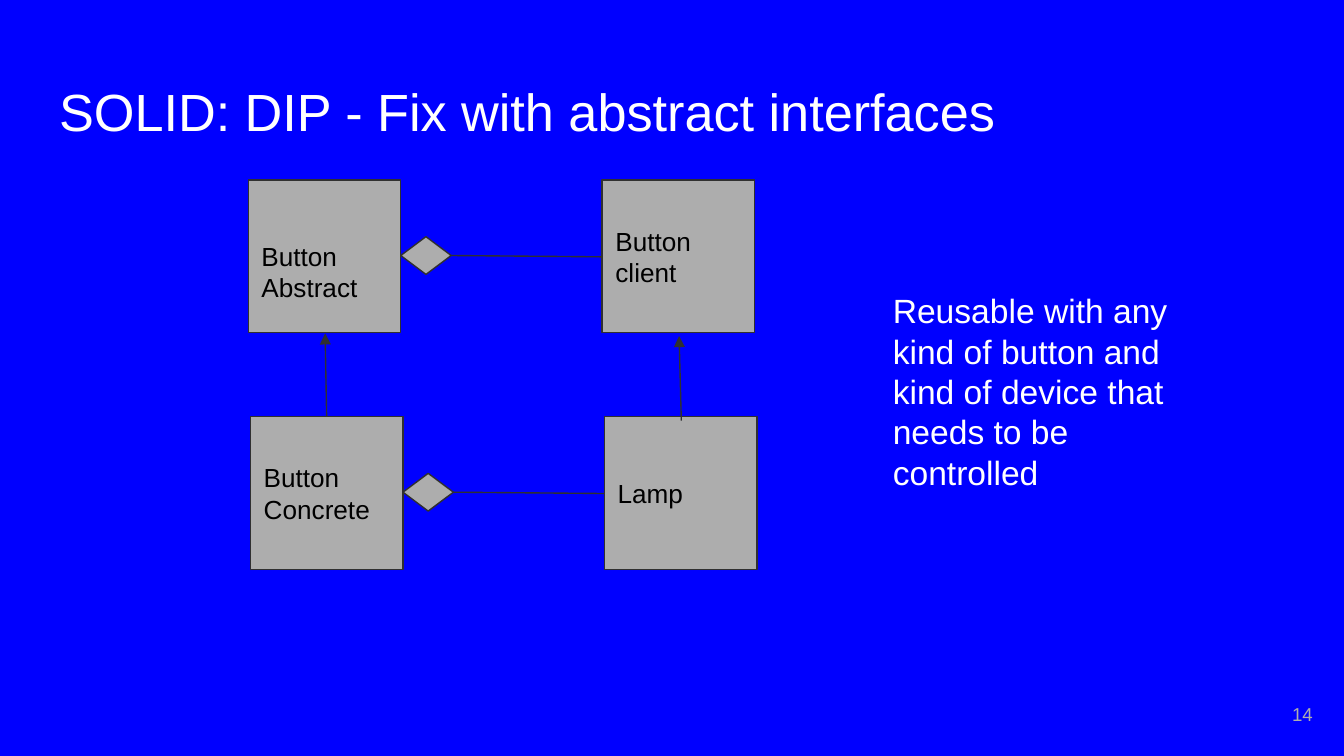
from lxml.etree import SubElement
from pptx import Presentation
from pptx.dml.color import RGBColor
from pptx.enum.shapes import MSO_CONNECTOR as Connector, MSO_SHAPE as Shape
from pptx.enum.text import MSO_ANCHOR as Anchor, MSO_AUTO_SIZE as AutoSize, PP_ALIGN as Align
from pptx.oxml.ns import qn
from pptx.util import Pt


def color(value):
    return RGBColor.from_string(value)


def write(shape, text, size, font_color, anchor=Anchor.MIDDLE, align=Align.LEFT, top_inset=7.2):
    frame = shape.text_frame
    frame_format = {
        "word_wrap": True, "auto_size": AutoSize.NONE, "vertical_anchor": anchor,
        "margin_left": Pt(7.2), "margin_right": Pt(7.2),
        "margin_top": Pt(top_inset), "margin_bottom": Pt(7.2),
    }
    for name, value in frame_format.items():
        setattr(frame, name, value)
    frame.text = text
    for paragraph in frame.paragraphs:
        paragraph.alignment = align
        for name, value in {"name": "Arial", "size": Pt(size), "bold": False}.items():
            setattr(paragraph.font, name, value)
        paragraph.font.color.rgb = color(font_color)


presentation = Presentation()
presentation.slide_width, presentation.slide_height = Pt(720), Pt(405)
slide = presentation.slides.add_slide(presentation.slide_layouts[5])
slide.background.fill.solid()
slide.background.fill.fore_color.rgb = color("0000FF")

title = slide.shapes.title
title_box = {"left": Pt(24.5), "top": Pt(35.3), "width": Pt(671), "height": Pt(45.4)}
for name, value in title_box.items():
    setattr(title, name, value)
write(title, "SOLID: DIP - Fix with abstract interfaces", 28, "FFFFFF", Anchor.TOP)

box_size, column_gap = 81.7, 189.6
diamond_width, diamond_height = 27, 20.2
rows = [
    (133, 96.5, [("Button\nAbstract", 23.4), ("Button client", 7.2)]),
    (134.2, 223.3, [("Button Concrete", 7.2), ("Lamp", 7.2)]),
]
arrows = [(175, 223.2, 174.2, 178.6), (365, 225.4, 363.8, 180)]
links = []
for left, top, labels in rows:
    diamond_left, diamond_top = left + box_size, top + 30.3
    pieces = [
        (Shape.RECTANGLE, left + column * column_gap, top, box_size, box_size, label, inset)
        for column, (label, inset) in enumerate(labels)
    ]
    pieces.append((Shape.DIAMOND, diamond_left, diamond_top, diamond_width, diamond_height, "", 7.2))
    for kind, x, y, width, height, label, inset in pieces:
        shape = slide.shapes.add_shape(kind, Pt(x), Pt(y), Pt(width), Pt(height))
        shape.shadow.inherit = False
        shape.fill.solid()
        shape.fill.fore_color.rgb = color("ADADAD")
        shape.line.color.rgb = color("303030")
        shape.line.width = Pt(0.75)
        if label:
            write(shape, label, 14, "000000", top_inset=inset)
    link_y = diamond_top + diamond_height / 2
    links.append((diamond_left + diamond_width, link_y, left + column_gap, link_y + 0.7))

for ends in links + arrows:
    connector = slide.shapes.add_connector(Connector.STRAIGHT, *[Pt(end) for end in ends])
    connector.line.color.rgb = color("303030")
    connector.line.width = Pt(0.75)
    if ends in arrows:
        tail = SubElement(connector.line._get_or_add_ln(), qn("a:tailEnd"))
        for name, value in {"type": "triangle", "w": "med", "len": "med"}.items():
            tail.set(name, value)
    SubElement(connector._element.spPr, qn("a:effectLst"))

note = slide.shapes.add_textbox(Pt(471.2), Pt(148.3), Pt(181.4), Pt(116))
write(note, "Reusable with any kind of button and kind of device that needs to be controlled",
      18, "FFFFFF", Anchor.TOP)

page_number = slide.shapes.add_textbox(Pt(667.2), Pt(367.2), Pt(43.2), Pt(31))
write(page_number, "14", 10, "ADADAD", align=Align.RIGHT)

presentation.save("out.pptx")
